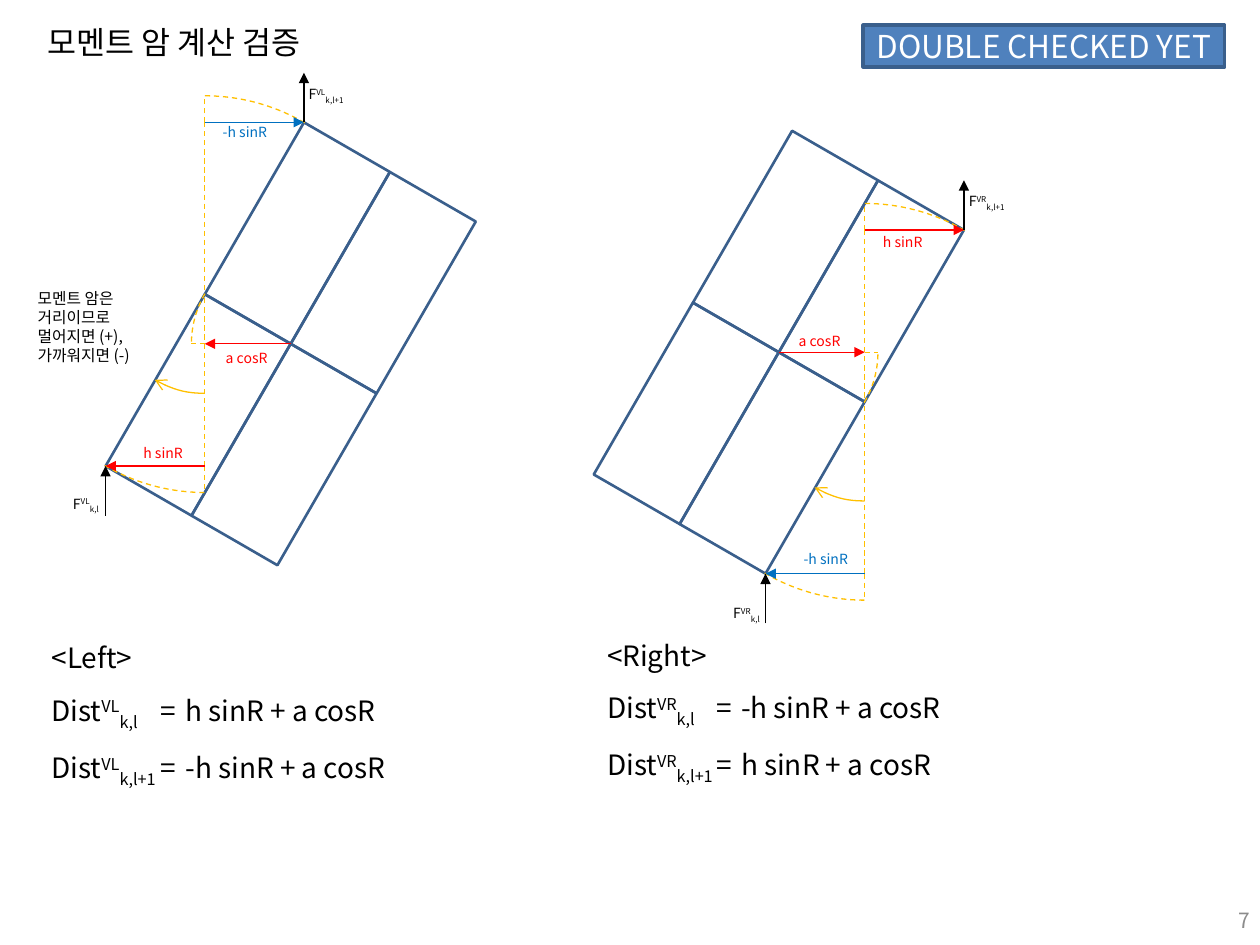
from dataclasses import dataclass
from math import cos, radians, sin
from typing import NamedTuple

from lxml.etree import SubElement
from pptx import Presentation
from pptx.dml.color import RGBColor
from pptx.enum.dml import MSO_LINE
from pptx.enum.shapes import MSO_CONNECTOR, MSO_SHAPE
from pptx.enum.text import MSO_ANCHOR, MSO_AUTO_SIZE, PP_ALIGN
from pptx.oxml.ns import qn
from pptx.util import Cm, Pt

FONT = "Noto Sans CJK KR"
BLACK, WHITE, GREY = "000000", "FFFFFF", "8C8C8C"
RED, BLUE, GOLD, NAVY, BADGE_BLUE = "FF0000", "0070C0", "FFC000", "3A5F8C", "4F81BD"
ROLL, HALF_WIDTH, HALF_HEIGHT = 30, 2, 4
FORCE_LENGTH = 1
SUPER, SUB = 30, -25
GROW = {"word_wrap": False, "auto_size": MSO_AUTO_SIZE.SHAPE_TO_FIT_TEXT}
TIGHT = {"margin_left": Cm(0.1), "margin_right": Cm(0.1), "margin_top": 0, "margin_bottom": 0}


class Point(NamedTuple):
    """A place on the slide in centimetres."""
    x: float
    y: float


class Box(NamedTuple):
    """Left, top, width and height in centimetres."""
    left: float
    top: float
    width: float
    height: float


class Piece(NamedTuple):
    """A stretch of text and its baseline shift in percent."""
    text: str
    baseline: int = 0


@dataclass
class Label:
    """A small caption inside a diagram."""
    pieces: list[Piece]
    left: float
    top: float
    width: float
    color: str = BLACK


@dataclass
class Side:
    """One rolled body with its moment arms, captions and equations."""
    name: str
    wall: int
    center: Point
    lower_color: str
    upper_color: str
    labels: list[Label]
    equations: Box
    lower_arm: str
    upper_arm: str


def rgb(color: str) -> RGBColor:
    """Turn a hex string into a colour."""
    return RGBColor.from_string(color)


def cm(*lengths: float) -> list[Cm]:
    """Turn centimetres into slide lengths."""
    return [Cm(length) for length in lengths]


def style_line(item, color: str, width: float, dash: bool = False, **ends: str) -> None:
    """Set an outline and its arrowheads (headEnd, tailEnd)."""
    item.line.color.rgb = rgb(color)
    item.line.width = Pt(width)
    if dash:
        item.line.dash_style = MSO_LINE.DASH
    for end, kind in ends.items():
        SubElement(item.get_or_add_ln(), qn(f"a:{end}"), type=kind)


def write(frame, paragraphs: list[list[Piece]], size: float, color: str,
          align=PP_ALIGN.LEFT, spacing: float = 1, tabs: tuple = (), **layout) -> None:
    """Fill a text frame with formatted paragraphs."""
    for name, value in layout.items():
        setattr(frame, name, value)
    for index, pieces in enumerate(paragraphs):
        paragraph = frame.add_paragraph() if index else frame.paragraphs[0]
        paragraph.alignment, paragraph.line_spacing = align, spacing
        if tabs:
            stops = SubElement(paragraph._p.get_or_add_pPr(), qn("a:tabLst"))
            for stop in tabs:
                SubElement(stops, qn("a:tab"), pos=str(Cm(stop)), algn="l")
        for piece in pieces:
            run = paragraph.add_run()
            run.text = piece.text
            for name, value in {"size": Pt(size), "name": FONT}.items():
                setattr(run.font, name, value)
            run.font.color.rgb = rgb(color)
            properties = run._r.get_or_add_rPr()
            SubElement(properties, qn("a:ea"), typeface=FONT)
            if piece.baseline:
                properties.set("baseline", str(piece.baseline * 1000))


def add_text(slide, box: Box, paragraphs: list[list[Piece]], size: float,
             color: str = BLACK, **layout) -> None:
    """Add a text box."""
    write(slide.shapes.add_textbox(*cm(*box)).text_frame, paragraphs, size, color, **layout)


def add_outline(slide, kind, center: Point, width: float, height: float, turn: float):
    """Add an unfilled, mirrored and turned shape around a centre."""
    outline = slide.shapes.add_shape(
        kind, *cm(center.x - width / 2, center.y - height / 2, width, height))
    outline.fill.background()
    outline.shadow.inherit = False
    outline.rotation = turn
    outline.element.spPr.xfrm.set("flipH", "1")
    return outline


def add_arc(slide, center: Point, radius: float, turn: float, dash: bool = True, **ends) -> None:
    """Add the arc swept by the roll angle."""
    arc = add_outline(slide, MSO_SHAPE.ARC, center, 2 * radius, 2 * radius, turn)
    arc.adjustments[0], arc.adjustments[1] = 197.86, 0
    style_line(arc, GOLD, 0.75, dash, **ends)


def add_line(slide, start: Point, end: Point, color: str, dash: bool = False, **ends) -> None:
    """Add a straight line or arrow."""
    line = slide.shapes.add_connector(MSO_CONNECTOR.STRAIGHT, *cm(*start, *end))
    style_line(line, color, 0.75, dash, **ends)
    SubElement(line.element.spPr, qn("a:effectLst"))


def draw_side(slide, side: Side) -> None:
    """Draw one body, its moment arms, forces, captions and equations."""
    across, along = cos(radians(ROLL)), sin(radians(ROLL))

    def rolled(x: float, y: float) -> Point:
        """Place a point given in the axes of the rolled body."""
        return Point(side.center.x + x * across - y * along,
                     side.center.y + x * along + y * across)

    for x, y in ((1, -1), (-1, -1), (1, 1), (-1, 1)):
        panel = add_outline(slide, MSO_SHAPE.RECTANGLE,
                            rolled(x * HALF_WIDTH / 2, y * HALF_HEIGHT / 2),
                            HALF_WIDTH, HALF_HEIGHT, ROLL)
        style_line(panel, NAVY, 1.5)

    middle = rolled(side.wall * HALF_WIDTH, 0)
    for down, color, turn in ((1, side.lower_color, 270), (-1, side.upper_color, 90)):
        corner = rolled(side.wall * HALF_WIDTH, down * HALF_HEIGHT)
        foot = Point(middle.x, corner.y)
        add_arc(slide, middle, HALF_HEIGHT, turn)
        add_line(slide, foot, middle, GOLD, dash=True)
        add_line(slide, foot, Point(middle.x, middle.y + down * HALF_HEIGHT), GOLD, dash=True)
        add_line(slide, foot, corner, color, tailEnd="triangle")
        outside = Point(corner.x, corner.y + down * FORCE_LENGTH)
        start, tip = (outside, corner) if down > 0 else (corner, outside)
        add_line(slide, start, tip, BLACK, tailEnd="triangle")

    add_arc(slide, middle, HALF_HEIGHT / 2, 270, dash=False, headEnd="arrow")
    add_arc(slide, side.center, HALF_WIDTH, 0 if side.wall < 0 else 180)
    level = Point(middle.x, side.center.y)
    add_line(slide, level, side.center, RED, headEnd="triangle")
    add_line(slide, level, Point(side.center.x + side.wall * HALF_WIDTH, level.y), GOLD, dash=True)

    for label in side.labels:
        add_text(slide, Box(label.left, label.top, label.width, 0.33), [label.pieces], 8,
                 label.color, **GROW, **TIGHT)
    distances = [[Piece("Dist"), Piece(f"V{side.name[0]}", SUPER), Piece(index, SUB),
                  Piece(f"\t=\t{arm} + a cosR")]
                 for index, arm in (("k,l", side.lower_arm), ("k,l+1", side.upper_arm))]
    add_text(slide, side.equations, [[Piece(f"<{side.name}>")], *distances], 16,
             spacing=1.5, tabs=(2.2, 2.7), **GROW)


def force(wall: str, index: str) -> list[Piece]:
    """Spell a vertical force symbol."""
    return [Piece("F"), Piece(wall, SUPER), Piece(index, SUB)]


SIDES = [
    Side("Left", -1, Point(5.86, 6.93), RED, BLUE, [
        Label([Piece("h sinR")], 2.79, 8.97, 1.2, RED),
        Label([Piece("a cosR")], 4.45, 7.04, 1.3, RED),
        Label([Piece("-h sinR")], 4.39, 2.49, 1.3, BLUE),
        Label(force("VL", "k,l"), 1.37, 9.98, 0.74),
        Label(force("VL", "k,l+1"), 6.12, 1.73, 0.99),
    ], Box(0.79, 12.45, 7.92, 3.33), "h sinR", "-h sinR"),
    Side("Right", 1, Point(15.7, 7.1), BLUE, RED, [
        Label([Piece("-h sinR")], 16.1, 11.1, 1.3, BLUE),
        Label([Piece("a cosR")], 16, 6.71, 1.3, RED),
        Label([Piece("h sinR")], 17.7, 4.7, 1.2, RED),
        Label(force("VR", "k,l"), 14.68, 12.19, 0.76),
        Label(force("VR", "k,l+1"), 19.43, 3.89, 1.02),
    ], Box(11.99, 12.4, 8.1, 3.33), "-h sinR", "h sinR"),
]

deck = Presentation()
deck.slide_width, deck.slide_height = cm(25.4, 19.05)
slide = deck.slides.add_slide(deck.slide_layouts[6])

add_text(slide, Box(0.71, 0.33, 6.32, 1.02), [[Piece("모멘트 암 계산 검증")]], 18, **GROW)
badge = slide.shapes.add_shape(MSO_SHAPE.RECTANGLE, *cm(17.4, 0.51, 7.29, 0.84))
badge.shadow.inherit = False
badge.fill.solid()
badge.fill.fore_color.rgb = rgb(BADGE_BLUE)
style_line(badge, NAVY, 2)
write(badge.text_frame, [[Piece("DOUBLE CHECKED YET")]], 18, WHITE,
      align=PP_ALIGN.CENTER, vertical_anchor=MSO_ANCHOR.MIDDLE)
add_text(slide, Box(19.53, 18.03, 5.92, 1.02), [[Piece("7")]], 12, GREY,
         align=PP_ALIGN.RIGHT, vertical_anchor=MSO_ANCHOR.MIDDLE, word_wrap=True)
add_text(slide, Box(0.51, 5.69, 2.62, 1.8),
         [[Piece("모멘트 암은 거리이므로 멀어지면 (+), 가까워지면 (-)")]], 9,
         **{**GROW, "word_wrap": True})
for side in SIDES:
    draw_side(slide, side)

deck.save("out.pptx")
